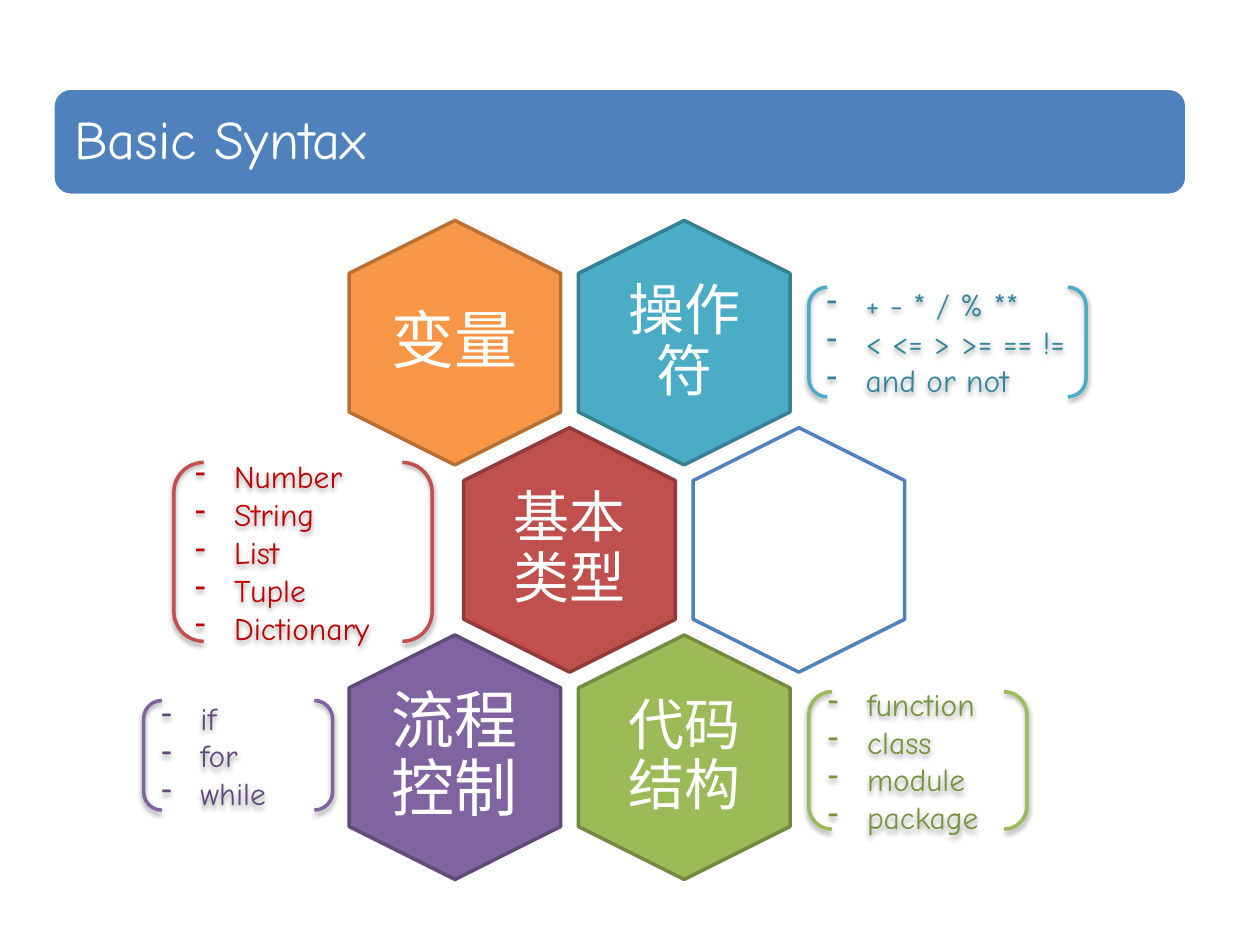
"""Build the Basic Syntax slide: a honeycomb of topics with bracketed lists."""
from lxml.etree import SubElement
from pptx import Presentation
from pptx.dml.color import RGBColor
from pptx.enum.shapes import MSO_SHAPE as SHAPE
from pptx.enum.text import MSO_ANCHOR as ANCHOR, PP_ALIGN as ALIGN
from pptx.oxml.ns import qn
from pptx.util import Inches, Pt

TITLE = "Basic Syntax"
# text, row, column, fill, line, size, inset
HEXAGONS = [
    ("操作符", 0, 1, "4BACC6", "377F92", 32, 0.13),
    ("变量", 0, 0, "F79646", "B76F34", 36, 0),
    ("基本类型", 1, 0, "C0504D", "8E3B39", 32, 0.13),
    ("", 1, 1, "FFFFFF", "4F81BD", 32, 0.13),
    ("代码结构", 2, 1, "9BBB59", "738A42", 32, 0.13),
    ("流程控制", 2, 0, "8064A2", "5F4A78", 36, 0),
]
# items, position and size, line, font colour
LISTS = [
    (["Number", "String", "List", "Tuple", "Dictionary"],
     (1.38, 3.67, 2.05, 1.42), "C0504D", "C00000"),
    (["+ - * / % **", "< <= > >= == !=", "and or not"],
     (6.42, 2.28, 2.2, 0.87), "4BACC6", "31859C"),
    (["if", "for", "while"], (1.14, 5.56, 1.5, 0.87), "8064A2", "604A7B"),
    (["function", "class", "module", "package"],
     (6.42, 5.49, 1.73, 1.09), "9BBB59", "77933C"),
]
HEX_W, HEX_H = 1.94, 1.68
LEFT, TOP, COL_STEP, ROW_STEP = 2.64, 1.88, 1.82, 1.645
LABEL_W, LABEL_H = 1.16, 1.33


def rgb(value):
    return RGBColor.from_string(value)


def add_shape(slide, kind, box, fill, line):
    sp = slide.shapes.add_shape(kind, *map(Inches, box))
    sp.shadow.inherit = False
    if fill:
        sp.fill.solid()
        sp.fill.fore_color.rgb = rgb(fill)
    else:
        sp.fill.background()
    sp.line.color.rgb = rgb(line)
    sp.line.width = Pt(2)
    return sp


def set_frame(tf, inset):
    tf.word_wrap = True
    tf.vertical_anchor = ANCHOR.MIDDLE
    tf.margin_left = tf.margin_right = Inches(inset)
    tf.margin_top = tf.margin_bottom = Inches(inset)


def add_run(p, text, size, font, color, align=ALIGN.LEFT):
    p.alignment = align
    r = p.add_run()
    r.text = text
    r.font.size = Pt(size)
    r.font.name = font
    r.font.color.rgb = rgb(color)


def add_title(slide):
    bar = add_shape(slide, SHAPE.ROUNDED_RECTANGLE, (0.42, 0.7, 9, 0.85), "4F81BD", "FFFFFF")
    title = slide.shapes.title
    title._element.addprevious(bar._element)
    title.left, title.top, title.width, title.height = map(Inches, (0.46, 0.74, 8.92, 0.77))
    set_frame(title.text_frame, 0.13)
    p = title.text_frame.paragraphs[0]
    p.line_spacing = 0.9
    add_run(p, TITLE, 31, "Comic Neue", "FFFFFF")


def add_hexagon(slide, text, row, col, fill, line, size, inset):
    x = LEFT + (col + row % 2 / 2) * COL_STEP
    y = TOP + row * ROW_STEP
    add_shape(slide, SHAPE.HEXAGON, (x, y, HEX_W, HEX_H), fill, line).rotation = 90
    if not text:
        return
    box = (x + (HEX_W - LABEL_W) / 2, y + (HEX_H - LABEL_H) / 2, LABEL_W, LABEL_H)
    tf = slide.shapes.add_textbox(*map(Inches, box)).text_frame
    set_frame(tf, inset)
    p = tf.paragraphs[0]
    p.line_spacing = 0.9
    add_run(p, text, size, "Calibri", "FFFFFF", ALIGN.CENTER)


def add_shadow(sp):
    effects = sp._element.spPr.find(qn("a:effectLst"))
    shadow = SubElement(effects, qn("a:outerShdw"), blurRad=str(Pt(3.1)),
                        dist=str(Pt(1.6)), dir="5400000", rotWithShape="0")
    color = SubElement(shadow, qn("a:srgbClr"), val="000000")
    SubElement(color, qn("a:alpha"), val="38000")


def add_list(slide, items, box, line, color):
    sp = add_shape(slide, SHAPE.DOUBLE_BRACKET, box, None, line)
    add_shadow(sp)
    tf = sp.text_frame
    tf.word_wrap = True
    tf.vertical_anchor = ANCHOR.MIDDLE
    for i, item in enumerate(items):
        p = tf.add_paragraph() if i else tf.paragraphs[0]
        add_run(p, item, 18, "Comic Neue", color)
        pPr = p._p.get_or_add_pPr()
        pPr.set("marL", str(Inches(0.31)))
        pPr.set("indent", str(-Inches(0.31)))
        SubElement(pPr, qn("a:buFontTx"))
        SubElement(pPr, qn("a:buChar"), char="-")


def main():
    prs = Presentation()
    prs.slide_width, prs.slide_height = Inches(10), Inches(7.5)
    slide = prs.slides.add_slide(prs.slide_layouts[5])
    add_title(slide)
    for hexagon in HEXAGONS:
        add_hexagon(slide, *hexagon)
    for entry in LISTS:
        add_list(slide, *entry)
    prs.save("out.pptx")


if __name__ == "__main__":
    main()
